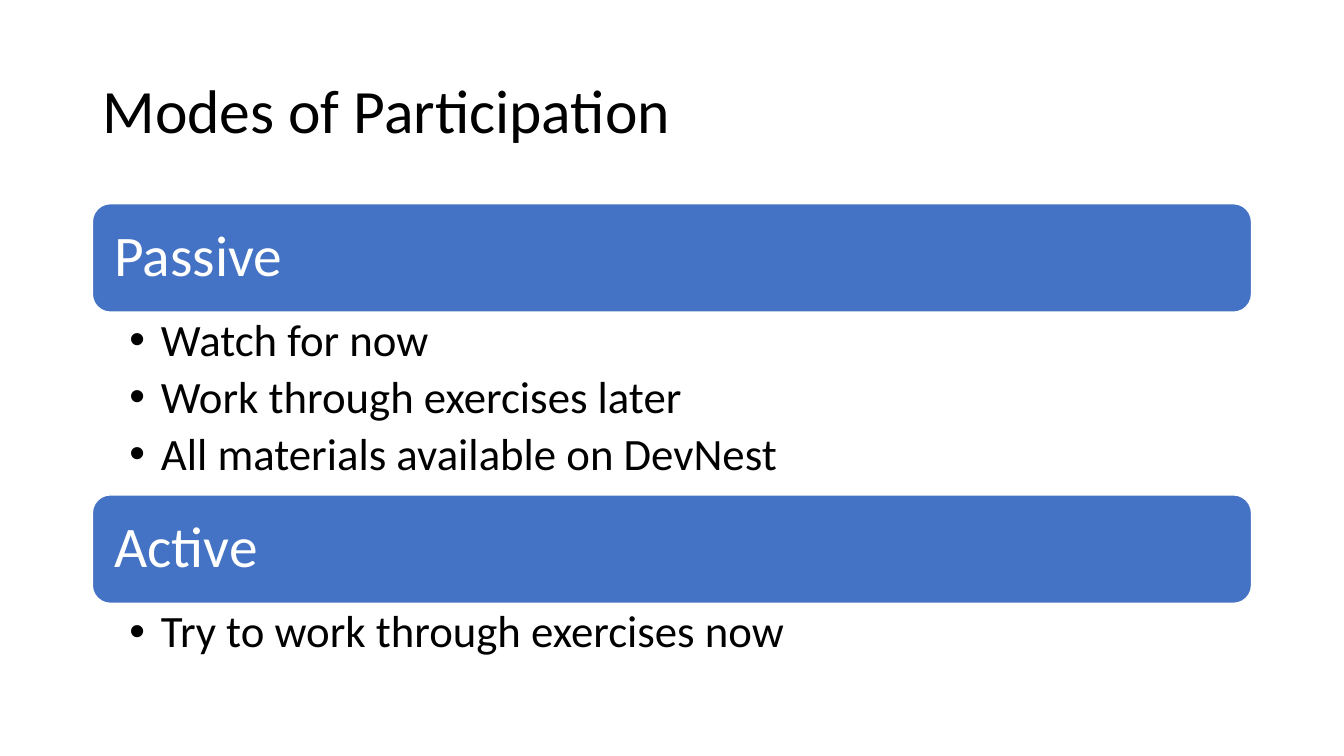
import dataclasses

import lxml.etree
import pptx
import pptx.dml.color
import pptx.enum.shapes
import pptx.enum.text
import pptx.oxml.ns
import pptx.util

Pt = pptx.util.Pt
RGBColor = pptx.dml.color.RGBColor


@dataclasses.dataclass(frozen=True)
class Theme:
    font: str = "Calibri"
    ink: RGBColor = RGBColor(0, 0, 0)
    paper: RGBColor = RGBColor(255, 255, 255)
    accent: RGBColor = RGBColor(0x44, 0x72, 0xC4)
    title_size: int = 44
    mode_size: int = 41
    point_size: int = 32


THEME = Theme()
MODES = [
    ("Passive", ["Watch for now", "Work through exercises later",
                 "All materials available on DevNest"], 130.5),
    ("Active", ["Try to work through exercises now"], 53),
]
LEFT, WIDTH = 66, 828
BAR_HEIGHT = 77.5


def place(part, left, top, width, height):
    part.left, part.top = Pt(left), Pt(top)
    part.width, part.height = Pt(width), Pt(height)


def style(paragraph, size, color):
    paragraph.alignment = pptx.enum.text.PP_ALIGN.LEFT
    paragraph.line_spacing = 0.9
    for run in paragraph.runs:
        run.font.name = THEME.font
        run.font.size = Pt(size)
        run.font.color.rgb = color


def add_bullet(paragraph, indent):
    properties = paragraph._p.get_or_add_pPr()
    properties.set("marL", str(Pt(indent)))
    properties.set("indent", str(-Pt(indent)))
    qn = pptx.oxml.ns.qn
    lxml.etree.SubElement(properties, qn("a:buFont"), typeface="Arial")
    lxml.etree.SubElement(properties, qn("a:buChar"), char="•")


def fill_title(slide, left, top, width, height):
    title = slide.shapes.title
    place(title, left, top, width, height)
    frame = title.text_frame
    frame.text = "Modes of Participation"
    frame.vertical_anchor = pptx.enum.text.MSO_ANCHOR.MIDDLE
    style(frame.paragraphs[0], THEME.title_size, THEME.ink)


def add_mode_bar(slide, mode, left, top, width, height):
    bar = slide.shapes.add_shape(
        pptx.enum.shapes.MSO_SHAPE.ROUNDED_RECTANGLE,
        Pt(left), Pt(top), Pt(width), Pt(height))
    bar.shadow.inherit = False
    bar.fill.solid()
    bar.fill.fore_color.rgb = THEME.accent
    bar.line.color.rgb = THEME.paper
    bar.line.width = Pt(1)
    frame = bar.text_frame
    frame.text = mode
    frame.word_wrap = True
    frame.vertical_anchor = pptx.enum.text.MSO_ANCHOR.MIDDLE
    frame.margin_left = frame.margin_right = Pt(12)
    frame.margin_top = frame.margin_bottom = 0
    style(frame.paragraphs[0], THEME.mode_size, THEME.paper)


def add_points(slide, points, left, top, width, height):
    box = slide.shapes.add_textbox(Pt(left), Pt(top), Pt(width), Pt(height))
    frame = box.text_frame
    frame.text = "\n".join(points)
    frame.word_wrap = True
    frame.margin_left, frame.margin_right = Pt(26.5), Pt(23)
    frame.margin_top = frame.margin_bottom = Pt(4)
    for paragraph in frame.paragraphs:
        style(paragraph, THEME.point_size, THEME.ink)
        paragraph.space_after = Pt(6)
        add_bullet(paragraph, 22.5)


def add_modes(slide, left, top, width):
    for mode, points, points_height in MODES:
        add_mode_bar(slide, mode, left, top, width, BAR_HEIGHT)
        top += BAR_HEIGHT
        add_points(slide, points, left, top, width, points_height)
        top += points_height


def main():
    deck = pptx.Presentation()
    deck.slide_width, deck.slide_height = Pt(960), Pt(540)
    slide = deck.slides.add_slide(deck.slide_layouts.get_by_name("Title Only"))
    fill_title(slide, LEFT, 29, WIDTH, 104)
    add_modes(slide, LEFT, 145.5, WIDTH)
    deck.save("out.pptx")


if __name__ == "__main__":
    main()
